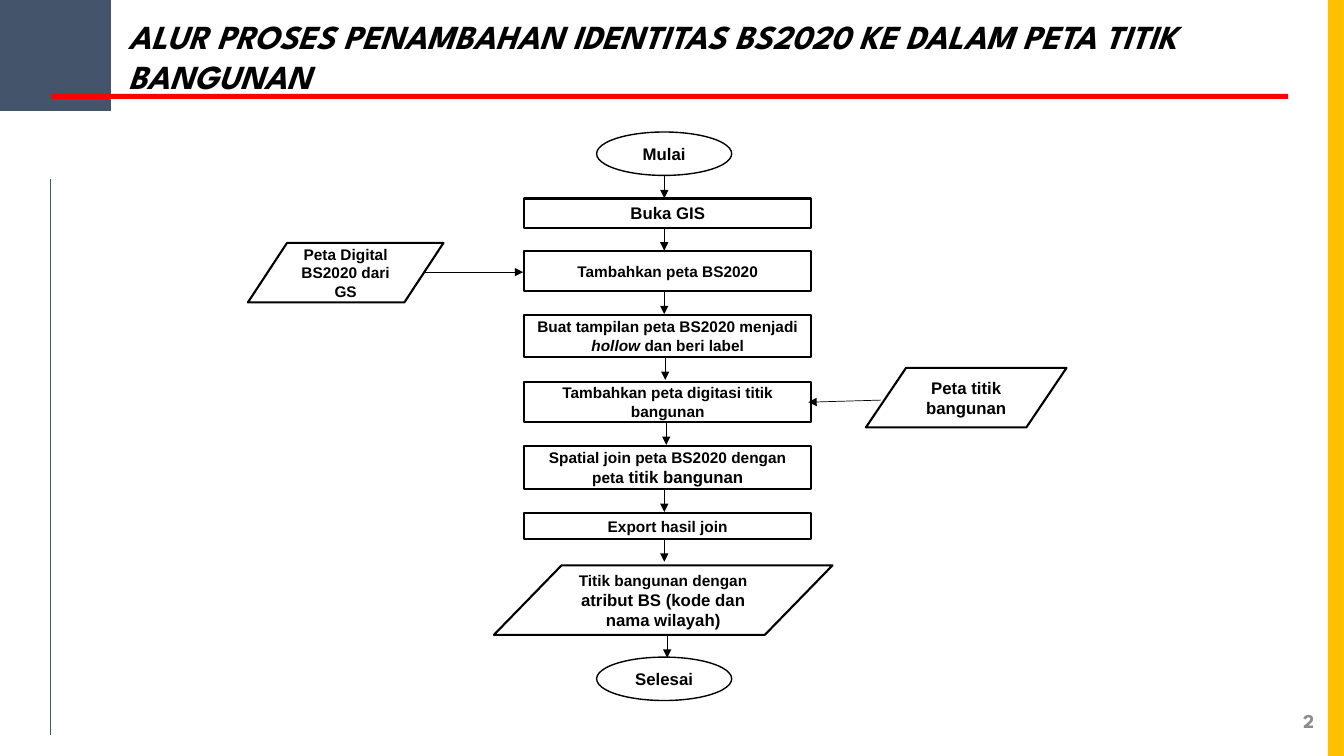
from dataclasses import dataclass

from lxml.etree import SubElement
from pptx import Presentation
from pptx.dml.color import RGBColor as RGB
from pptx.enum.shapes import MSO_CONNECTOR as Link, MSO_SHAPE as Shape
from pptx.enum.text import MSO_ANCHOR as Anchor, MSO_AUTO_SIZE as Fit, PP_ALIGN as Align
from pptx.oxml.ns import qn
from pptx.util import Pt


@dataclass(frozen=True)
class Theme:
    ink: str = "000000"
    slate: str = "44546A"
    amber: str = "FFC000"
    red: str = "FF0000"
    grey: str = "8C8C8C"
    heading_font: str = "League Spartan"
    body_font: str = "Arial"
    title: int = 24
    number: int = 14
    label: int = 12
    small: int = 11
    thin: float = 0.5
    oval: float = 1
    frame: float = 1.5


class FlowSlide:
    def __init__(self, slide, theme):
        self.shapes = slide.shapes
        self.theme = theme

    def set_text(self, frame, runs, align, font, color=None, inset=None, fit=Fit.NONE):
        """Fill a text frame; each run is (text, size) or (text, size, extra format)."""
        layout = {"word_wrap": True, "vertical_anchor": Anchor.MIDDLE, "auto_size": fit}
        if inset is not None:
            layout |= {f"margin_{side}": Pt(inset) for side in ("left", "top", "right", "bottom")}
        for name, value in layout.items():
            setattr(frame, name, value)
        paragraph = frame.paragraphs[0]
        paragraph.alignment = align
        for text, size, *extra in runs:
            run = paragraph.add_run()
            run.text = text
            look = {"name": font, "size": Pt(size), "bold": True, "italic": False}
            for name, value in (look | (extra[0] if extra else {})).items():
                setattr(run.font, name, value)
            run.font.color.rgb = RGB.from_string(color or self.theme.ink)

    def block(self, box, color):
        """Solid decorative rectangle."""
        block = self.shapes.add_shape(Shape.RECTANGLE, *map(Pt, box))
        block.shadow.inherit = False
        block.fill.solid()
        block.fill.fore_color.rgb = RGB.from_string(color)
        block.line.fill.background()

    def node(self, kind, box, runs, weight):
        """Outlined flowchart symbol with a centred label."""
        node = self.shapes.add_shape(kind, *map(Pt, box))
        node.shadow.inherit = False
        node.fill.background()
        node.line.color.rgb = RGB.from_string(self.theme.ink)
        node.line.width = Pt(weight)
        self.set_text(node.text_frame, runs, Align.CENTER, self.theme.body_font)

    def text(self, box, runs, **style):
        frame = self.shapes.add_textbox(*map(Pt, box)).text_frame
        self.set_text(frame, runs, font=self.theme.heading_font, **style)

    def line(self, start, end, color, arrow=False):
        line = self.shapes.add_connector(Link.STRAIGHT, *map(Pt, (*start, *end)))
        line.line.color.rgb = RGB.from_string(color)
        line.line.width = Pt(self.theme.thin)
        properties = line._element.spPr
        if arrow:
            SubElement(properties.find(qn("a:ln")), qn("a:tailEnd"), type="triangle")
        SubElement(properties, qn("a:effectLst"))

    def arrow(self, start, end):
        self.line(start, end, self.theme.ink, arrow=True)


def main():
    deck = Presentation()
    deck.slide_width, deck.slide_height = Pt(960), Pt(540)
    theme = Theme()
    page = FlowSlide(deck.slides.add_slide(deck.slide_layouts[6]), theme)
    label, small = theme.label, theme.small

    # Page frame
    page.block((0, 0, 79.2, 79.2), theme.slate)
    page.block((948.5, 0, 11.5, 540), theme.amber)
    page.line((36, 128.2), (36, 525), theme.slate)

    # Title, page number and rule
    title = "ALUR PROSES PENAMBAHAN IDENTITAS BS2020 KE DALAM PETA TITIK BANGUNAN"
    page.text((91.6, 10.8, 828.7, 58.3), [(title, theme.title, {"italic": True})],
              align=Align.LEFT, inset=0, fit=Fit.SHAPE_TO_FIT_TEXT)
    page.text((730, 500.4, 216, 28.8), [("2", theme.number)],
              align=Align.RIGHT, color=theme.grey)
    page.block((36.7, 67, 883.4, 3.6), theme.red)

    # Main flow, top to bottom: symbol, top, height, label, x of the arrow below
    oval, step, data = Shape.OVAL, Shape.RECTANGLE, Shape.FLOWCHART_DATA
    columns = {  # left, width, outline
        oval: (426.2, 96.5, theme.oval),
        step: (374.4, 205.2, theme.frame),
        data: (352.8, 241.9, theme.frame),
    }
    flow = [
        (oval, 94.3, 31, [("Mulai", label)], 474.5),
        (step, 141.8, 20.9, [("Buka GIS", label)], 474.5),
        (step, 179.3, 28.8, [("Tambahkan peta BS2020", small)], 474.5),
        (step, 224.9, 30.2, [("Buat tampilan peta BS2020 menjadi ", small),
                             ("hollow", small, {"italic": True}),
                             (" dan beri label", small)], 475.2),
        (step, 272.7, 28.8, [("Tambahkan peta digitasi titik bangunan", small)], 475.9),
        (step, 318.7, 30.7, [("Spatial join peta BS2020 dengan peta", small),
                             (" titik bangunan", label)], 474.5),
        (step, 366.3, 18.7, [("Export hasil join", small)], 474.5),
        (data, 403.8, 49.7, [("Titik bangunan dengan", small),
                             (" atribut BS (kode dan nama wilayah)", label)], 476.6),
        (oval, 469.4, 31, [("Selesai", label)], None),
    ]
    arrow_length = 16.3
    for kind, top, height, runs, arrow_x in flow:
        left, width, weight = columns[kind]
        page.node(kind, (left, top, width, height), runs, weight)
        if arrow_x:
            bottom = top + height
            page.arrow((arrow_x, bottom), (arrow_x, bottom + arrow_length))

    # Side inputs and their arrows
    inputs = [
        ((177.1, 173.5, 139.7, 42.5), ("Peta Digital BS2020 dari GS", small),
         (303.1, 194.4), (373.7, 194.4)),
        ((618.5, 262.8, 143.3, 42.5), ("Peta titik bangunan", label),
         (629.3, 285.8), (577.4, 287.3)),
    ]
    for box, run, start, end in inputs:
        page.node(data, box, [run], theme.frame)
        page.arrow(start, end)

    deck.save("out.pptx")


if __name__ == "__main__":
    main()
